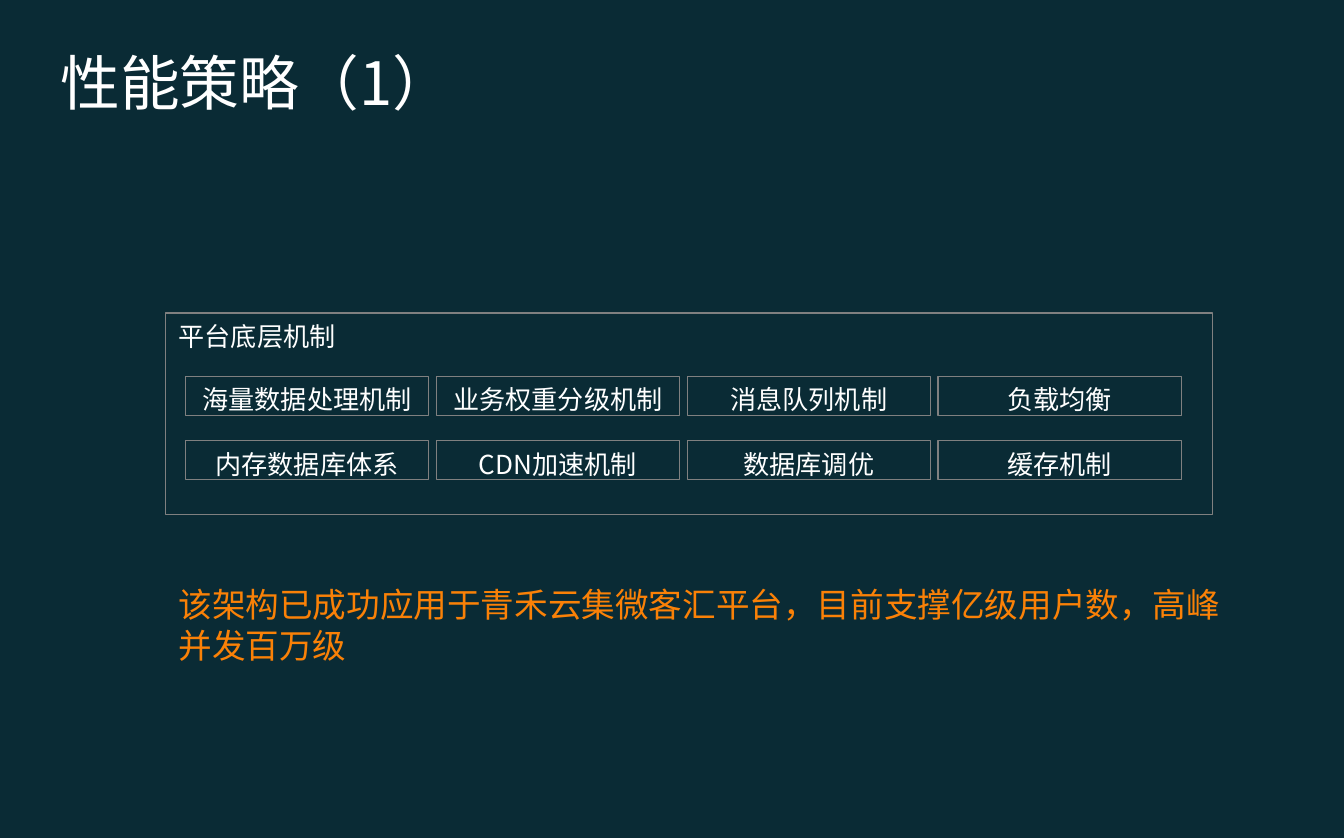
from dataclasses import dataclass

from lxml.etree import SubElement
from pptx import Presentation
from pptx.dml.color import RGBColor
from pptx.enum.shapes import MSO_SHAPE
from pptx.enum.text import MSO_ANCHOR, PP_ALIGN
from pptx.oxml.ns import qn
from pptx.util import Inches, Pt


@dataclass(frozen=True)
class Theme:
    font: str = "Noto Sans CJK TC"
    background: RGBColor = RGBColor(0x0A, 0x2B, 0x35)
    text: RGBColor = RGBColor(0xFF, 0xFF, 0xFF)
    accent: RGBColor = RGBColor(0xFA, 0x81, 0x07)
    border: RGBColor = RGBColor(0x80, 0x80, 0x80)
    title_size: int = 32
    note_size: int = 18
    label_size: int = 14


@dataclass(frozen=True)
class Box:
    left: float
    top: float
    width: float
    height: float

    def lengths(self) -> tuple:
        return tuple(Inches(v) for v in (self.left, self.top, self.width, self.height))


THEME = Theme()
TITLE = Box(0.35, 0.28, 8.66, 0.64)
PANEL = Box(1.23, 2.33, 7.79, 1.5)
NOTE = Box(1.23, 4.29, 8.02, 0.71)
FIRST_CELL = Box(1.38, 2.8, 1.81, 0.29)
COLUMN_STEP, ROW_STEP = 5.6 / 3, 0.48
MECHANISMS = (
    ("海量数据处理机制", "业务权重分级机制", "消息队列机制", "负载均衡"),
    ("内存数据库体系", "CDN加速机制", "数据库调优", "缓存机制"),
)


def write(shape, text: str, size: int, color: RGBColor = THEME.text,
          align: PP_ALIGN = PP_ALIGN.LEFT) -> None:
    tf = shape.text_frame
    tf.word_wrap = True
    tf.vertical_anchor = MSO_ANCHOR.TOP
    p = tf.paragraphs[0]
    p.text = text
    p.alignment = align
    p.line_spacing = Pt(round(size * 1.22, 1))
    p.font.size = Pt(size)
    p.font.color.rgb = color
    p.font.name = THEME.font
    SubElement(p.font._element, qn("a:ea"), typeface=THEME.font)


def add_frame(s, box: Box, text: str, align: PP_ALIGN = PP_ALIGN.LEFT) -> None:
    sp = s.shapes.add_shape(MSO_SHAPE.RECTANGLE, *box.lengths())
    sp.shadow.inherit = False
    sp.fill.background()
    sp.line.color.rgb = THEME.border
    sp.line.width = Pt(0)
    write(sp, text, THEME.label_size, align=align)


def main() -> None:
    prs = Presentation()
    prs.slide_width, prs.slide_height = Inches(10), Pt(449)
    s = prs.slides.add_slide(prs.slide_layouts[5])
    s.background.fill.solid()
    s.background.fill.fore_color.rgb = THEME.background

    title = s.shapes.title
    title.left, title.top, title.width, title.height = TITLE.lengths()
    write(title, "性能策略（1）", THEME.title_size)

    add_frame(s, PANEL, "平台底层机制")
    for row, labels in enumerate(MECHANISMS):
        for column, label in enumerate(labels):
            cell = Box(FIRST_CELL.left + column * COLUMN_STEP,
                       FIRST_CELL.top + row * ROW_STEP,
                       FIRST_CELL.width, FIRST_CELL.height)
            add_frame(s, cell, label, PP_ALIGN.CENTER)

    note = s.shapes.add_textbox(*NOTE.lengths())
    write(note, "该架构已成功应用于青禾云集微客汇平台，目前支撑亿级用户数，高峰并发百万级",
          THEME.note_size, THEME.accent)

    prs.save("out.pptx")


if __name__ == "__main__":
    main()
